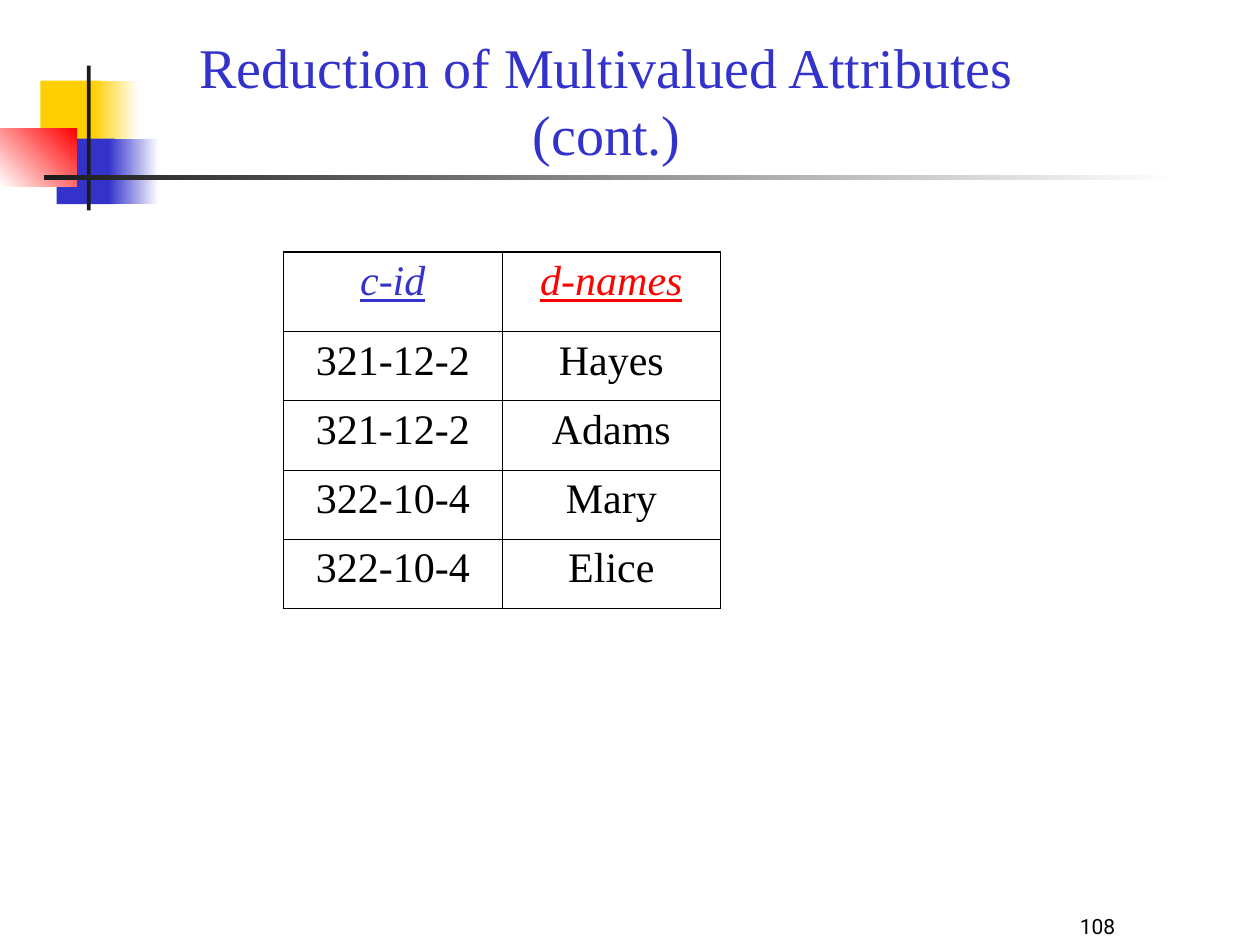
from dataclasses import dataclass

from lxml import etree
from pptx import Presentation
from pptx import util as u
from pptx.dml.color import RGBColor
from pptx.enum import shapes, text
from pptx.oxml import ns


@dataclass(frozen=True)
class Theme:
    """Colours, fonts and sizes of the slide."""
    gold: str = "FFCF01"
    blue: str = "3333CC"
    red: str = "FF0000"
    dark: str = "1C1C1C"
    black: str = "000000"
    white: str = "FFFFFF"
    serif: str = "Times New Roman"
    sans: str = "Roboto"
    head: int = 32
    body: int = 24
    foot: int = 12
    thin: float = 0.45
    thick: float = 1.08


T = Theme()


def inches(box):
    """Turn a box of numbers into lengths."""
    return [u.Inches(n) for n in box]


def write(frame, words, color, **form):
    """Put one centred, formatted paragraph in a text frame."""
    frame.word_wrap = True
    para = frame.paragraphs[0]
    para.alignment = text.PP_ALIGN.CENTER
    run = para.add_run()
    run.text = words
    for name, value in form.items():
        setattr(run.font, name, value)
    run.font.color.rgb = RGBColor.from_string(color)


def bar(slide, box, color, end=None, angle=0):
    """Draw a plain rectangle, or one that fades from color to end."""
    shape = slide.shapes.add_shape(shapes.MSO_SHAPE.RECTANGLE, *inches(box))
    shape.shadow.inherit = False
    shape.line.fill.background()
    if end is None:
        shape.fill.solid()
        shape.fill.fore_color.rgb = RGBColor.from_string(color)
        return
    shape.fill.gradient()
    shape.fill.gradient_angle = angle
    for stop, tone, place in zip(shape.fill.gradient_stops, (color, end), (0, 1)):
        stop.color.rgb = RGBColor.from_string(tone)
        stop.position = place


def emblem(slide, box):
    """Draw the coloured blocks and the crossing rules."""
    x, y, w, h = box
    parts = [
        ((0.32, 0.12, 0.48, 0.52), T.gold),
        ((0.74, 0.12, 0.36, 0.52), T.gold, T.white),
        ((0.45, 0.58, 0.46, 0.52), T.blue),
        ((0.86, 0.58, 0.4, 0.52), T.blue, T.white),
        ((0, 0.5, 0.61, 0.46), T.white, T.red, 45),
        ((0.69, 0, 0.03, h), T.dark),
        ((0.35, 0.87, w - 0.35, 0.04), T.dark, T.white),
    ]
    for (dx, dy, pw, ph), *look in parts:
        bar(slide, (x + dx, y + dy, pw, ph), *look)


def title(slide, box, words):
    """Place and format the title placeholder."""
    shape = slide.shapes.title
    for name, value in zip(("left", "top", "width", "height"), inches(box)):
        setattr(shape, name, value)
    shape.text_frame.vertical_anchor = text.MSO_ANCHOR.TOP
    write(shape.text_frame, words, T.blue, name=T.serif, size=u.Pt(T.head))


def border(cell, widths):
    """Line the left, right, top and bottom of a cell."""
    props = cell._tc.get_or_add_tcPr()
    for spot, (side, width) in enumerate(zip("LRTB", widths)):
        line = etree.Element(ns.qn(f"a:ln{side}"), w=str(u.Pt(width)))
        fill = etree.SubElement(line, ns.qn("a:solidFill"))
        etree.SubElement(fill, ns.qn("a:srgbClr"), val=T.black)
        props.insert(spot, line)


def grid(slide, box, rows, heights):
    """Build the table with its underlined key row."""
    last = len(rows) - 1
    table = slide.shapes.add_table(len(rows), len(rows[0]), *inches(box)).table
    table.first_row = table.horz_banding = False
    for col in table.columns:
        col.width = u.Inches(box[2] / len(rows[0]))
    for r, (row, height) in enumerate(zip(rows, heights)):
        table.rows[r].height = u.Inches(height)
        for c, words in enumerate(row):
            cell = table.cell(r, c)
            cell.fill.background()
            key = r == 0
            color = (T.blue, T.red)[c] if key else T.black
            write(cell.text_frame, words, color, name=T.serif,
                  size=u.Pt(T.body), italic=key, underline=key)
            outer = (c == 0, c == 1 and not key, key, r == last)
            border(cell, [T.thick if edge else T.thin for edge in outer])


def number(slide, box, words):
    """Place the page number at the foot."""
    frame = slide.shapes.add_textbox(*inches(box)).text_frame
    frame.vertical_anchor = text.MSO_ANCHOR.BOTTOM
    write(frame, words, T.black, name=T.sans, size=u.Pt(T.foot))


def main():
    """Build and save the slide."""
    deck = Presentation()
    deck.slide_width, deck.slide_height = inches((10, 7.5))
    slide = deck.slides.add_slide(deck.slide_layouts[5])
    emblem(slide, (0, 0.52, 9.35, 1.15))
    title(slide, (0.9, 0.21, 7.83, 1.17),
          "Reduction of Multivalued Attributes (cont.)")
    rows = [
        ("c-id", "d-names"),
        ("321-12-2", "Hayes"),
        ("321-12-2", "Adams"),
        ("322-10-4", "Mary"),
        ("322-10-4", "Elice"),
    ]
    grid(slide, (2.25, 2, 3.47, 2.81), rows, [0.63] + [0.55] * 4)
    number(slide, (7.67, 7, 2.08, 0.5), "108")
    deck.save("out.pptx")


if __name__ == "__main__":
    main()
